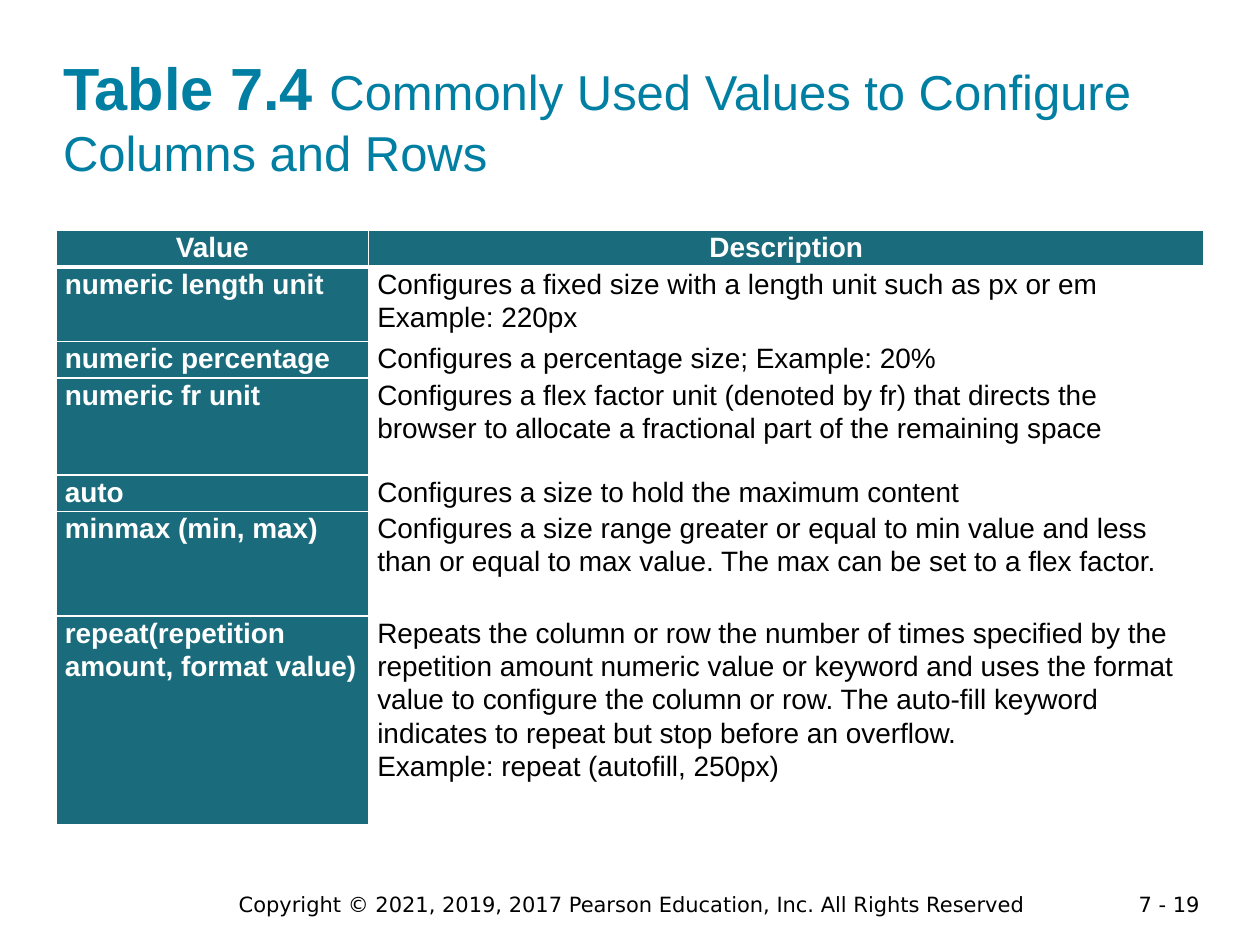
import pptx
import pptx.dml.color
import pptx.enum.text
import pptx.oxml
import pptx.oxml.ns
import pptx.util

Inches = pptx.util.Inches
Align = pptx.enum.text.PP_ALIGN
Anchor = pptx.enum.text.MSO_ANCHOR

TITLE_BLUE = pptx.dml.color.RGBColor(0x00, 0x7F, 0xA3)
TEAL = pptx.dml.color.RGBColor(0x1A, 0x6C, 0x7C)
WHITE = pptx.dml.color.RGBColor(0xFF, 0xFF, 0xFF)
BLACK = pptx.dml.color.RGBColor(0x00, 0x00, 0x00)

WIDTH, HEIGHT = 10, 7.5
COLUMN_WIDTHS = (2.48, 6.63)
ROWS = (
    (0.29, "Value", "Description"),
    (0.59, "numeric length unit",
     "Configures a fixed size with a length unit such as px or em\nExample: 220px"),
    (0.29, "numeric percentage", "Configures a percentage size; Example: 20%"),
    (0.77, "numeric fr unit",
     "Configures a flex factor unit (denoted by fr) that directs the browser "
     "to allocate a fractional part of the remaining space"),
    (0.29, "auto", "Configures a size to hold the maximum content"),
    (0.83, "minmax (min, max)",
     "Configures a size range greater or equal to min value and less than or "
     "equal to max value. The max can be set to a flex factor."),
    (1.66, "repeat(repetition amount, format value)",
     "Repeats the column or row the number of times specified by the "
     "repetition amount numeric value or keyword and uses the format value to "
     "configure the column or row. The auto-fill keyword indicates to repeat "
     "but stop before an overflow.\nExample: repeat (autofill, 250px)"),
)


def add_text(paragraph, text, size=16, color=BLACK, bold=False, font="Arial",
             align=Align.LEFT, line_spacing=None):
    """Append text to a paragraph; a newline becomes a line break."""
    paragraph.alignment = align
    paragraph.line_spacing = line_spacing
    for index, line in enumerate(text.split("\n")):
        if index:
            paragraph.add_line_break()
        run = paragraph.add_run()
        run.text = line
        run.font.name = font
        run.font.size = pptx.util.Pt(size)
        run.font.bold = bold
        run.font.color.rgb = color


def set_borders(cell, bottom_width):
    """Draw white borders, put ahead of the fill as the schema requires."""
    properties = cell._tc.get_or_add_tcPr()
    widths = (("lnL", 1), ("lnR", 1), ("lnT", 1), ("lnB", bottom_width))
    for index, (side, width) in enumerate(widths):
        properties.insert(index, pptx.oxml.parse_xml(
            f'<a:{side} {pptx.oxml.ns.nsdecls("a")} w="{pptx.util.Pt(width)}">'
            f'<a:solidFill><a:srgbClr val="{WHITE}"/></a:solidFill></a:{side}>'))


def place_title(slide, left, top, width, height):
    title = slide.shapes.title
    title.left, title.top = Inches(left), Inches(top)
    title.width, title.height = Inches(width), Inches(height)
    frame = title.text_frame
    frame.margin_left = frame.margin_right = 0
    frame.margin_top = frame.margin_bottom = 0
    frame.vertical_anchor = Anchor.BOTTOM
    frame.auto_size = pptx.enum.text.MSO_AUTO_SIZE.NONE
    paragraph = frame.paragraphs[0]
    add_text(paragraph, "Table 7.4 ", size=34, color=TITLE_BLUE, bold=True)
    add_text(paragraph, "Commonly Used Values to Configure Columns and Rows",
             size=28, color=TITLE_BLUE)


def place_values_table(slide, left, top):
    table = slide.shapes.add_table(
        len(ROWS), len(COLUMN_WIDTHS), Inches(left), Inches(top),
        Inches(sum(COLUMN_WIDTHS)), Inches(sum(row[0] for row in ROWS))).table
    for column, width in zip(table.columns, COLUMN_WIDTHS):
        column.width = Inches(width)
    for row_index, (height, *texts) in enumerate(ROWS):
        table.rows[row_index].height = Inches(height)
        is_header = row_index == 0
        for column_index, text in enumerate(texts):
            cell = table.cell(row_index, column_index)
            is_heading = is_header or column_index == 0
            cell.margin_left = cell.margin_right = Inches(0.07)
            cell.margin_top = cell.margin_bottom = 0
            cell.fill.solid()
            cell.fill.fore_color.rgb = TEAL if is_heading else WHITE
            set_borders(cell, 3 if is_header else 1)
            add_text(cell.text_frame.paragraphs[0], text, bold=is_heading,
                     color=WHITE if is_heading else BLACK,
                     align=Align.CENTER if is_header else Align.LEFT,
                     line_spacing=1.07)


def place_footer_text(slide, left, top, width, height, text, align):
    box = slide.shapes.add_textbox(Inches(left), Inches(top),
                                   Inches(width), Inches(height))
    box.text_frame.word_wrap = True
    add_text(box.text_frame.paragraphs[0], text, size=12, font="DejaVu Sans",
             align=align)


def main():
    presentation = pptx.Presentation()
    presentation.slide_width = Inches(WIDTH)
    presentation.slide_height = Inches(HEIGHT)
    slide = presentation.slides.add_slide(presentation.slide_layouts[5])

    # Footer: page number and copyright
    footer_top = HEIGHT - 0.47
    place_footer_text(slide, 8.62, footer_top, 1, 0.22, "7 - 19", Align.RIGHT)
    place_footer_text(
        slide, 1.64, footer_top, 6.75, 0.3,
        "Copyright © 2021, 2019, 2017 Pearson Education, Inc. All Rights Reserved",
        Align.CENTER)

    # Title and table
    place_title(slide, 0.05 * WIDTH, 0.24, 0.9 * WIDTH, 0.16 * HEIGHT)
    place_values_table(slide, (WIDTH - sum(COLUMN_WIDTHS)) / 2, 1.83)

    presentation.save("out.pptx")


if __name__ == "__main__":
    main()
